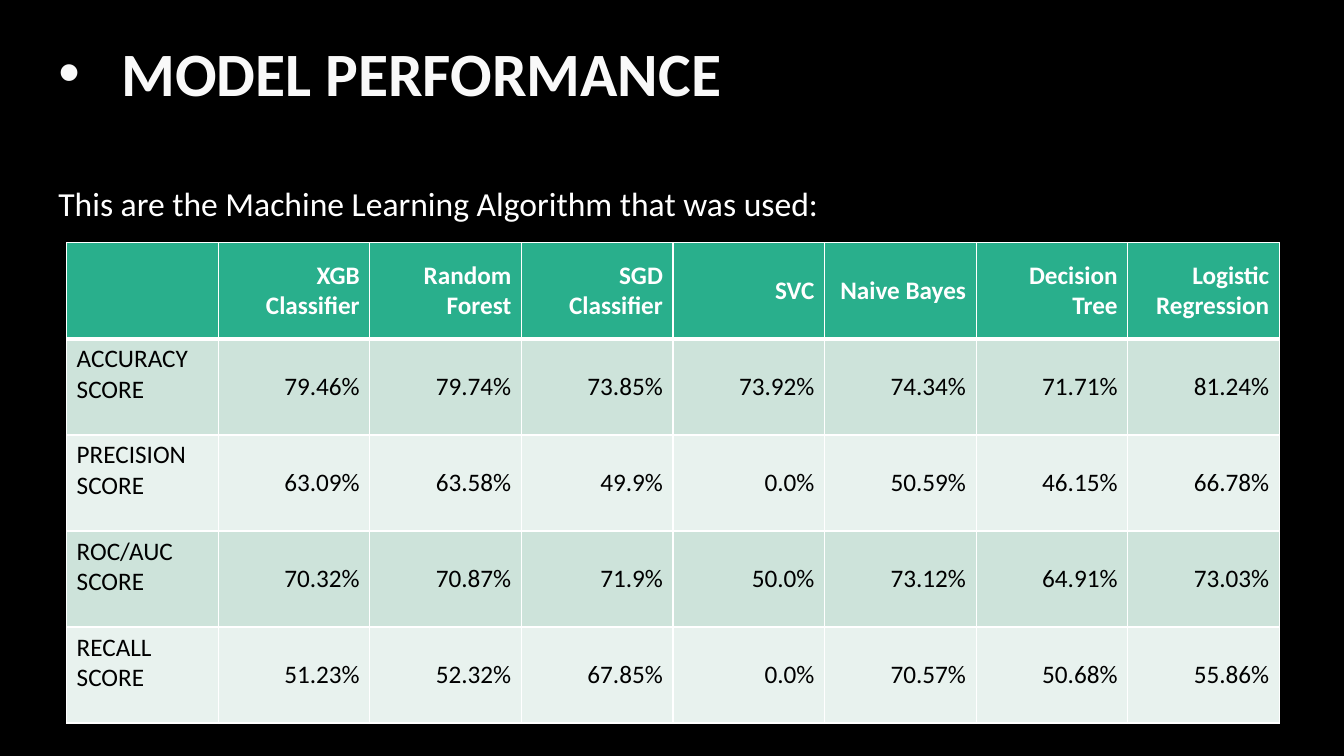
import pptx
import pptx.dml.color
import pptx.enum.text
import pptx.oxml
import pptx.oxml.ns
import pptx.util
from pptx.util import Cm, Pt

COLORS = {
    "background": "000000",
    "title": "F9F9F9",
    "white": "FFFFFF",
    "black": "000000",
    "header": "29AF8C",
    "band_dark": "CDE3DA",
    "band_light": "E8F2EE",
}
ALIGN = pptx.enum.text.PP_ALIGN
ANCHOR = pptx.enum.text.MSO_ANCHOR


def format_runs(p, size, color, bold=False):
    for r in p.runs:
        r.font.name = "Calibri"
        r.font.size = Pt(size)
        r.font.bold = bold
        r.font.color.rgb = pptx.dml.color.RGBColor.from_string(COLORS[color])


def add_border(cell, side, width):
    cell._tc.get_or_add_tcPr().append(pptx.oxml.parse_xml(
        f'<a:{side} {pptx.oxml.ns.nsdecls("a")} w="{Pt(width)}"><a:solidFill>'
        f'<a:srgbClr val="{COLORS["white"]}"/></a:solidFill></a:{side}>'))


prs = pptx.Presentation()
prs.slide_width, prs.slide_height = Cm(33.87), Cm(19.05)
s = prs.slides.add_slide(prs.slide_layouts[5])
s.background.fill.solid()
s.background.fill.fore_color.rgb = pptx.dml.color.RGBColor.from_string(COLORS["background"])

# Title with a bullet
title = s.shapes.title
title.left, title.top, title.width, title.height = Cm(1.22), Cm(0.08), Cm(29.21), Cm(3.68)
tf = title.text_frame
tf.text = "MODEL PERFORMANCE"
tf.vertical_anchor = ANCHOR.MIDDLE
p = tf.paragraphs[0]
p.alignment = ALIGN.LEFT
p.line_spacing = 0.9
format_runs(p, 44, "title", bold=True)
pPr = p._p.get_or_add_pPr()
pPr.set("marL", str(Cm(1.58)))
pPr.set("indent", str(-Cm(1.58)))
for bullet in ('buFont {} typeface="Arial"', 'buChar {} char="•"'):
    pPr.append(pptx.oxml.parse_xml(f'<a:{bullet.format(pptx.oxml.ns.nsdecls("a"))}/>'))

# Introduction
intro = s.shapes.add_textbox(Cm(1.22), Cm(4.6), Cm(29.21), Cm(12.09))
tf = intro.text_frame
tf.word_wrap = True
tf.text = "This are the Machine Learning Algorithm that was used:"
tf.paragraphs[0].line_spacing = 0.9
format_runs(tf.paragraphs[0], 24, "white")

# Score table
rows = [
    ["", "XGB Classifier", "Random Forest", "SGD Classifier", "SVC",
     "Naive Bayes", "Decision Tree", "Logistic Regression"],
    ["ACCURACY\nSCORE", "79.46%", "79.74%", "73.85%", "73.92%", "74.34%", "71.71%", "81.24%"],
    ["PRECISION\nSCORE", "63.09%", "63.58%", "49.9%", "0.0%", "50.59%", "46.15%", "66.78%"],
    ["ROC/AUC\nSCORE", "70.32%", "70.87%", "71.9%", "50.0%", "73.12%", "64.91%", "73.03%"],
    ["RECALL\nSCORE", "51.23%", "52.32%", "67.85%", "0.0%", "70.57%", "50.68%", "55.86%"],
]
n_rows, n_cols = len(rows), len(rows[0])
table = s.shapes.add_table(n_rows, n_cols, Cm(1.68), Cm(6.12),
                           Cm(3.82) * n_cols, Cm(2.42) * n_rows).table

for i, row in enumerate(rows):
    is_header = i == 0
    fill = "header" if is_header else "band_dark" if i % 2 else "band_light"
    for j, text in enumerate(row):
        cell = table.cell(i, j)
        cell.text_frame.text = text
        cell.vertical_anchor = ANCHOR.MIDDLE if j else ANCHOR.TOP
        for p in cell.text_frame.paragraphs:
            p.alignment = ALIGN.RIGHT if j else ALIGN.LEFT
            format_runs(p, 18, "white" if is_header else "black", bold=is_header)
        # The line under the header is thicker
        for side, width in (("lnL", 1), ("lnR", 1),
                            ("lnT", 3 if i == 1 else 1), ("lnB", 3 if is_header else 1)):
            add_border(cell, side, width)
        cell.fill.solid()
        cell.fill.fore_color.rgb = pptx.dml.color.RGBColor.from_string(COLORS[fill])

prs.save("out.pptx")
